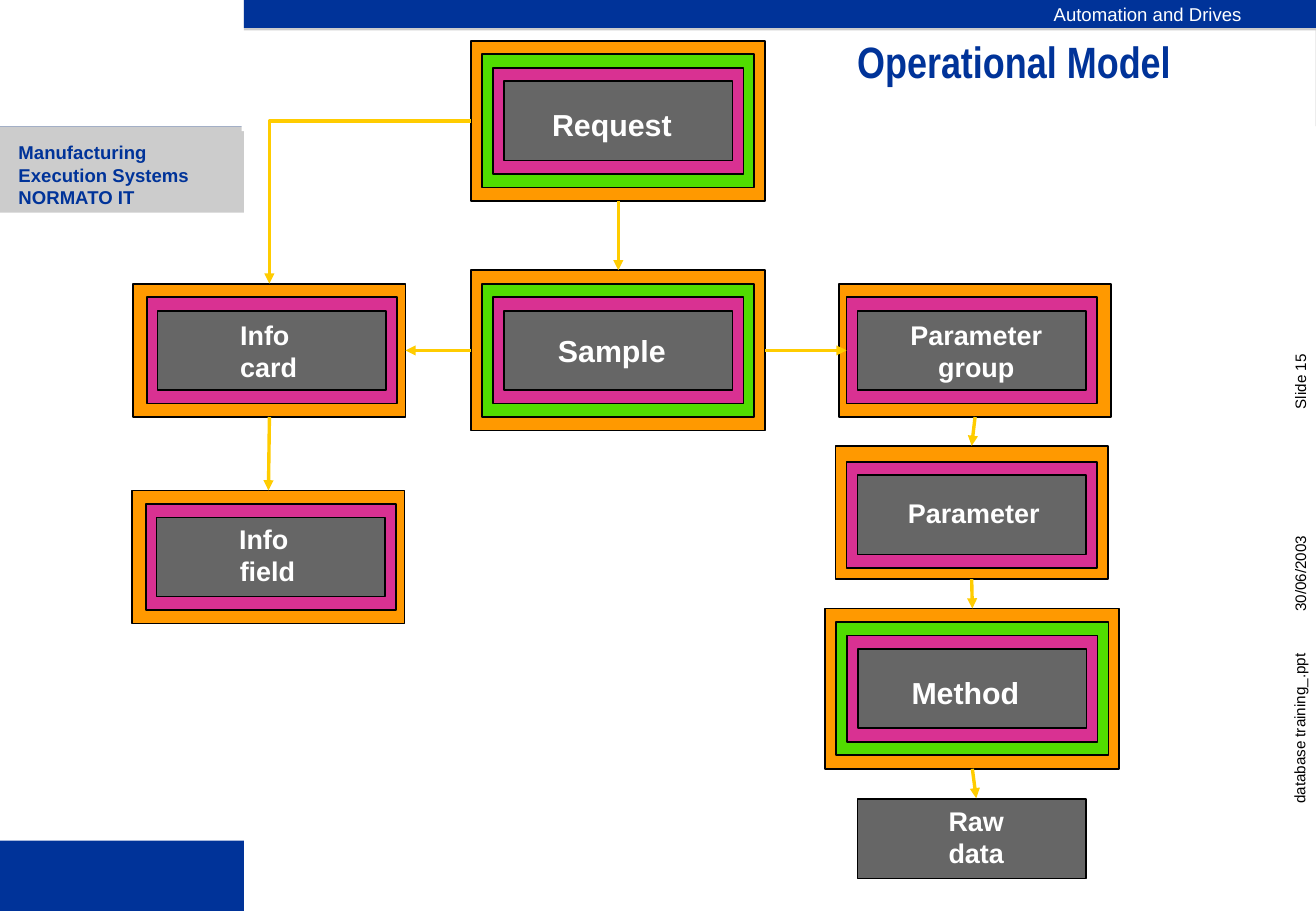
import pptx
import pptx.util
import pptx.dml.color
import pptx.enum.shapes
import pptx.enum.text
import pptx.oxml.ns
import lxml.etree

Pt = pptx.util.Pt
RGBColor = pptx.dml.color.RGBColor
ALIGN = pptx.enum.text.PP_ALIGN
ANCHOR = pptx.enum.text.MSO_ANCHOR
CONNECTOR = pptx.enum.shapes.MSO_CONNECTOR

BLUE = RGBColor(0x00, 0x33, 0x99)
LIGHT_GREY = RGBColor(0xCC, 0xCC, 0xCC)
DARK_GREY = RGBColor(0x66, 0x66, 0x66)
ORANGE = RGBColor(0xFF, 0x99, 0x00)
GREEN = RGBColor(0x51, 0xDC, 0x00)
PINK = RGBColor(0xD9, 0x31, 0x92)
YELLOW = RGBColor(0xFF, 0xCC, 0x00)
WHITE = RGBColor(0xFF, 0xFF, 0xFF)
BLACK = RGBColor(0x00, 0x00, 0x00)

CORE_WIDTH, CORE_HEIGHT = 135.4, 47
RIM_X, RIM_Y = 6.5, 8
LABEL_WIDTH = 131
TOP, LEFT, BOTTOM, RIGHT = range(4)


def add_rect(slide, left, top, width, height, fill, outline=None):
    rect = slide.shapes.add_shape(
        pptx.enum.shapes.MSO_SHAPE.RECTANGLE,
        Pt(left), Pt(top), Pt(width), Pt(height))
    rect.shadow.inherit = False
    rect.fill.solid()
    rect.fill.fore_color.rgb = fill
    if outline is None:
        rect.line.fill.background()
    else:
        rect.line.color.rgb = outline
        rect.line.width = Pt(1)
    return rect


def add_text(slide, paragraphs, left, top, width, height, size, color,
             bold=False, font="Arial", align=ALIGN.LEFT, anchor=ANCHOR.TOP,
             wrap=True, margins=(7.2, 3.6), spacing=1.0, rotation=0):
    """Add a text box; a newline inside a paragraph becomes a line break."""
    box = slide.shapes.add_textbox(Pt(left), Pt(top), Pt(width), Pt(height))
    box.rotation = rotation
    frame = box.text_frame
    frame.word_wrap = wrap
    frame.vertical_anchor = anchor
    frame.margin_left = frame.margin_right = Pt(margins[0])
    frame.margin_top = frame.margin_bottom = Pt(margins[1])
    for number, wording in enumerate(paragraphs):
        paragraph = frame.add_paragraph() if number else frame.paragraphs[0]
        paragraph.alignment = align
        paragraph.line_spacing = spacing
        for row, line in enumerate(wording.split("\n")):
            if row:
                paragraph.add_line_break()
            run = paragraph.add_run()
            run.text = line
            run.font.name = font
            run.font.size = Pt(size)
            run.font.bold = bold
            run.font.color.rgb = color
    return box


def add_entity(slide, wording, left, top, rims, label_at, size=16,
               shift=(0, 0)):
    """Draw nested frames around a core at left, top, then its label.

    The outermost frame is moved by shift. Returns the frames, outermost
    first, with the label last.
    """
    parts = []
    for index, fill in enumerate(rims + [DARK_GREY]):
        depth = len(rims) - index
        dx, dy = shift if index == 0 else (0, 0)
        parts.append(add_rect(
            slide, left - depth * RIM_X + dx, top - depth * RIM_Y + dy,
            CORE_WIDTH + 2 * depth * RIM_X, CORE_HEIGHT + 2 * depth * RIM_Y,
            fill, BLACK))
    label_height = 28 if size > 16 or wording == ["Parameter"] else 45.4
    parts.append(add_text(slide, wording, *label_at, LABEL_WIDTH, label_height,
                          size, WHITE, bold=True, align=ALIGN.CENTER))
    return parts


def add_arrow(slide, source, source_side, target, target_side, bent=False):
    kind = CONNECTOR.ELBOW if bent else CONNECTOR.STRAIGHT
    arrow = slide.shapes.add_connector(kind, 0, 0, 0, 0)
    arrow.begin_connect(source, source_side)
    arrow.end_connect(target, target_side)
    arrow.line.color.rgb = YELLOW
    arrow.line.width = Pt(2)
    qn = pptx.oxml.ns.qn
    properties = arrow._element.spPr
    if bent:
        # One single corner
        properties.find(qn("a:prstGeom")).set("prst", "bentConnector2")
    lxml.etree.SubElement(properties.find(qn("a:ln")), qn("a:tailEnd"),
                          type="triangle")
    lxml.etree.SubElement(properties, qn("a:effectLst"))


def add_page_frame(slide):
    # Header band
    add_rect(slide, 144.7, 0, 635.78, 74.9, LIGHT_GREY)
    add_rect(slide, 144.7, 0, 635.78, 16.6, BLUE)
    add_text(slide, ["Automation and Drives"], 617.8, -0.5, 126, 19.4, 11,
             WHITE, wrap=False, spacing=0.9)

    # Side column
    add_rect(slide, 0, 74.9, 144.7, 465.1, BLUE)
    add_rect(slide, 0, 74.9, 144.7, 52.6, LIGHT_GREY)
    add_text(slide, ["Manufacturing Execution Systems\nNORMATO IT"],
             8.1, 83.8, 134.6, 39.6, 11, BLUE, bold=True, margins=(2.9, 0))

    # Vertical footer
    for note, left, top in (("30/06/2003", 710.6, 296.8),
                            ("Slide 15", 710.6, 176.6),
                            ("database training_.ppt", 710.2, 410.6)):
        add_text(slide, [note], left, top, 121, 18, 9, BLACK,
                 margins=(3.6, 3.6), rotation=270)

    # White working area
    add_rect(slide, 143.3, 18, 637, 59.8, WHITE)
    add_rect(slide, 0, 126, 156.2, 372.3, WHITE)


def add_model(slide):
    three_rims = [ORANGE, GREEN, PINK]
    two_rims = [ORANGE, PINK]

    # Entities
    info_card = add_entity(slide, ["Info", " card"], 93.5, 184.2, two_rims,
                           (91.6, 185.2), shift=(-1.4, 0))
    info_field = add_entity(slide, ["Info", " field"], 92.9, 306.7, two_rims,
                            (90.9, 306.2), shift=(-1.4, 0))
    request = add_entity(slide, ["Request"], 299, 48.2, three_rims,
                         (297.4, 59.6), size=18)
    sample = add_entity(slide, ["Sample"], 299, 184.2, three_rims,
                        (297.4, 193.2), size=18)
    group = add_entity(slide, ["Parameter group"], 508.6, 184.2, two_rims,
                       (513.5, 185.2), shift=(2, 0))
    parameter = add_entity(slide, ["Parameter"], 508.6, 281.7, two_rims,
                           (512, 291), shift=(0, -1.4))
    method = add_entity(slide, ["Method"], 509, 384.7, three_rims,
                        (507.1, 396.2), size=18)
    raw_data = add_entity(slide, ["Raw", "data"], 508.6, 473.8, [],
                          (513.5, 473.2))

    # Relations
    add_arrow(slide, request[0], BOTTOM, sample[0], TOP)
    add_arrow(slide, sample[0], LEFT, info_card[0], RIGHT)
    add_arrow(slide, sample[0], RIGHT, group[1], LEFT)
    add_arrow(slide, request[0], LEFT, info_card[0], TOP, bent=True)
    add_arrow(slide, info_card[0], BOTTOM, info_field[0], TOP)
    add_arrow(slide, group[0], BOTTOM, parameter[0], TOP)
    add_arrow(slide, parameter[0], BOTTOM, method[0], TOP)
    add_arrow(slide, method[0], BOTTOM, raw_data[-1], TOP)


def main():
    deck = pptx.Presentation()
    deck.slide_width = Pt(780.48)
    deck.slide_height = Pt(540)
    slide = deck.slides.add_slide(deck.slide_layouts[6])
    add_page_frame(slide)
    add_text(slide, ["Operational Model"], 501.3, 26.9, 278.6, 22.3, 26, BLUE,
             bold=True, font="Arial Narrow", anchor=ANCHOR.MIDDLE, spacing=0.9)
    add_model(slide)
    deck.save("out.pptx")


if __name__ == "__main__":
    main()
